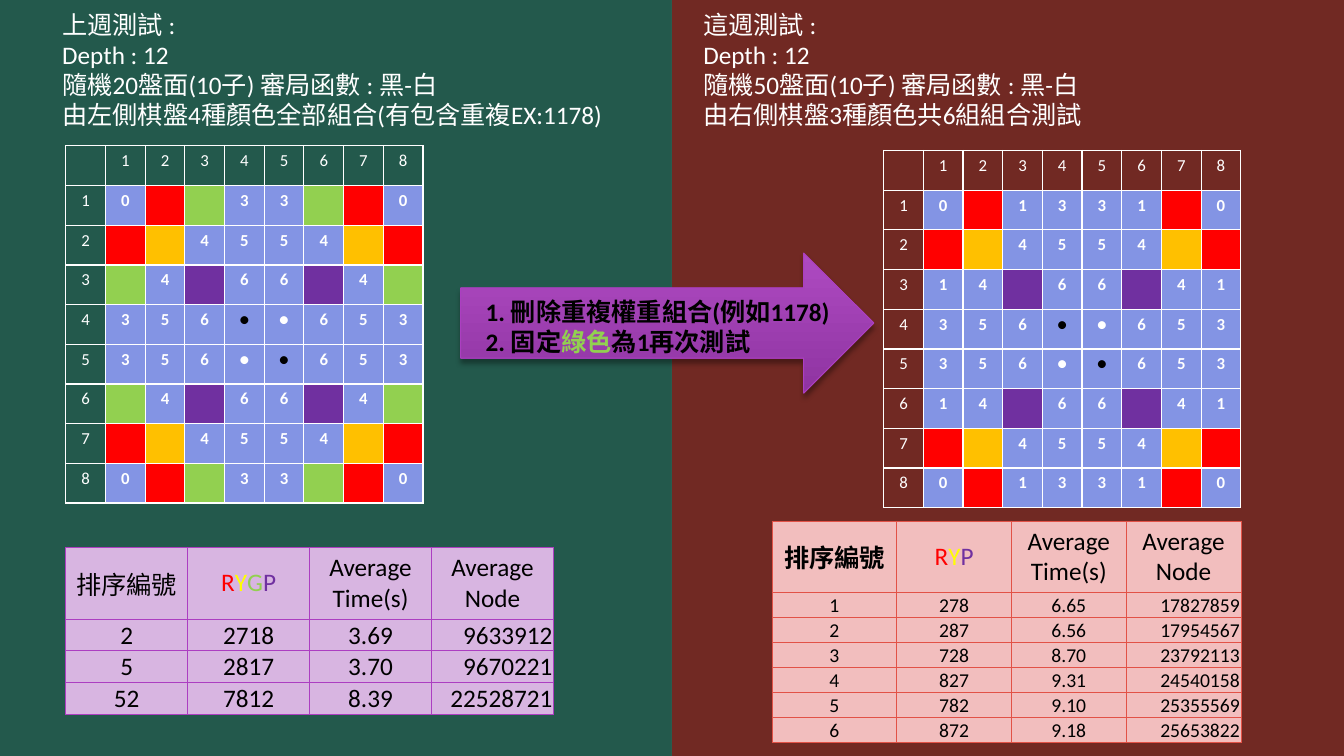
from lxml.etree import SubElement
from pptx import Presentation
from pptx.dml.color import RGBColor
from pptx.enum.shapes import MSO_SHAPE
from pptx.enum.text import MSO_ANCHOR, PP_ALIGN
from pptx.oxml.ns import qn
from pptx.util import Pt

HUES = {
    "black": "000000", "white": "FFFFFF", "teal": "46B298", "brick": "E25247",
    "cell": "8394E4", "R": "FF0000", "Y": "FFC000", "G": "92D050", "P": "7030A0",
    "yellow": "FFFF00", "lilac": "D8B5E1", "pink": "F2BEBE", "edge": "AC3EC1",
    "top": "AE4AC2", "base": "8F34A1",
}
HALF = ["0RG33GR0", "RY4554YR", "G4P66P4G", "356bw653"]
BOARD = HALF + ["356wb653"] + HALF[2::-1]
DISCS = {"b": "black", "w": "white"}
KEYS = {"R": "R", "Y": "yellow", "G": "G", "P": "P"}
LAST = {
    "head": ["排序編號", "RYGP", "Average\nTime(s)", "Average\nNode"],
    "rows": [("2", "2718", "3.69", "9633912"),
             ("5", "2817", "3.70", "9670221"),
             ("52", "7812", "8.39", "22528721")],
}
THIS = {
    "head": ["排序編號", "RYP", "Average\nTime(s)", "Average\nNode"],
    "rows": [("1", "278", "6.65", "17827859"),
             ("2", "287", "6.56", "17954567"),
             ("3", "728", "8.70", "23792113"),
             ("4", "827", "9.31", "24540158"),
             ("5", "782", "9.10", "25355569"),
             ("6", "872", "9.18", "25653822")],
}


def rgb(name):
    """Return the named colour."""
    return RGBColor.from_string(HUES[name])


def style(frame, size, hue, bold=False, align=PP_ALIGN.LEFT):
    """Format every run in a text frame."""
    for para in frame.paragraphs:
        para.alignment = align
        for run in para.runs:
            font = run.font
            font.name, font.size, font.bold = "Calibri", Pt(size), bold
            font.color.rgb = rgb(hue)


def split(para, parts):
    """Fill a paragraph with one run for each part."""
    for part in parts:
        para.add_run().text = part


def panel(slide, left, top, width, height, hue):
    """Draw a half-transparent background panel."""
    shape = slide.shapes.add_shape(
        MSO_SHAPE.RECTANGLE, Pt(left), Pt(top), Pt(width), Pt(height))
    shape.shadow.inherit = False
    shape.fill.solid()
    shape.fill.fore_color.rgb = rgb(hue)
    shape.line.fill.background()
    tone = shape.fill._xPr.find(qn("a:solidFill"))[0]
    SubElement(tone, qn("a:alpha"), val="50000")


def intro(slide, left, top, width, height, text):
    """Write the notes above a board."""
    frame = slide.shapes.add_textbox(
        Pt(left), Pt(top), Pt(width), Pt(height)).text_frame
    frame.word_wrap = True
    frame.text = text
    style(frame, 18, "white")


def grid(slide, left, top, widths, heights):
    """Add a plain table with the given columns and rows."""
    table = slide.shapes.add_table(
        len(heights), len(widths), Pt(left), Pt(top),
        Pt(sum(widths)), Pt(sum(heights))).table
    table.first_row = table.horz_banding = False
    for col, width in zip(table.columns, widths):
        col.width = Pt(width)
    for row, height in zip(table.rows, heights):
        row.height = Pt(height)
    return table


def edge(cell, hue, width):
    """Draw all four borders of a cell."""
    props = cell._tc.get_or_add_tcPr()
    for side in ("lnL", "lnR", "lnT", "lnB"):
        line = SubElement(props, qn("a:" + side), w=str(Pt(width)))
        fill = SubElement(line, qn("a:solidFill"))
        SubElement(fill, qn("a:srgbClr"), val=HUES[hue])


def board(slide, left, top, size, rows):
    """Draw a weight board with its row and column numbers."""
    step = size / 9
    table = grid(slide, left, top, [step] * 9, [step] * 9)
    marks = [" 12345678"] + [f"{num}{row}" for num, row in enumerate(rows, 1)]
    for y, line in enumerate(marks):
        for x, mark in enumerate(line):
            cell = table.cell(y, x)
            edge(cell, "white", 1)
            inner = x > 0 and y > 0
            if inner:
                cell.fill.solid()
                cell.fill.fore_color.rgb = rgb(mark if mark in KEYS else "cell")
            else:
                cell.fill.background()
            if mark == " " or mark in KEYS:
                cell.margin_top = cell.margin_bottom = 0
                continue
            cell.text_frame.text = "●" if mark in DISCS else mark
            style(cell.text_frame, 12, DISCS.get(mark, "white"), inner, PP_ALIGN.CENTER)


def scores(slide, left, top, widths, data, step, size, fill, line, bold):
    """Draw a table of average times and nodes."""
    rows = [data["head"]] + data["rows"]
    table = grid(slide, left, top, widths, [51] + [step] * len(data["rows"]))
    for y, row in enumerate(rows):
        for x, text in enumerate(row):
            cell = table.cell(y, x)
            edge(cell, line, 0.75)
            cell.fill.solid()
            cell.fill.fore_color.rgb = rgb(fill)
            cell.vertical_anchor = MSO_ANCHOR.MIDDLE
            frame = cell.text_frame
            keys = y == 0 and x == 1
            if keys:
                split(frame.paragraphs[0], text)
            else:
                frame.text = text
            if y:
                cell.margin_left = cell.margin_right = cell.margin_top = Pt(0.75)
                cell.margin_bottom = 0
            align = PP_ALIGN.RIGHT if y and x == 3 else PP_ALIGN.CENTER
            style(frame, size if y else 18, "black", bold and x == y == 0, align)
            if keys:
                for run in frame.paragraphs[0].runs:
                    run.font.color.rgb = rgb(KEYS[run.text])


def arrow(slide, left, top, width, height):
    """Draw the arrow between the boards and its two steps."""
    shape = slide.shapes.add_shape(
        MSO_SHAPE.RIGHT_ARROW, Pt(left), Pt(top), Pt(width), Pt(height))
    shape.shadow.inherit = False
    shape.fill.gradient()
    shape.fill.gradient_angle = 270
    for stop, hue, place in zip(shape.fill.gradient_stops, ("top", "base"), (0, 1)):
        stop.color.rgb = rgb(hue)
        stop.position = place
    shape.line.color.rgb = rgb("edge")
    shape.line.width = Pt(0.75)
    effects = shape._element.spPr.find(qn("a:effectLst"))
    shade = SubElement(effects, qn("a:outerShdw"), blurRad=str(Pt(4)),
                       dist=str(Pt(3)), dir="5400000", rotWithShape="0")
    tone = SubElement(shade, qn("a:srgbClr"), val=HUES["black"])
    SubElement(tone, qn("a:alpha"), val="35000")

    frame = slide.shapes.add_textbox(
        Pt(left + 10.8), Pt(top + 27.4), Pt(width - 1.4), Pt(72.7)).text_frame
    frame.word_wrap = True
    frame.text = "1. 刪除重複權重組合(例如1178)"
    para = frame.add_paragraph()
    split(para, ["2. 固定", "綠色", "為1再次測試"])
    style(frame, 18, "black", True)
    para.runs[1].font.color.rgb = rgb("G")


def main():
    """Build the slide comparing the two weeks of tests."""
    deck = Presentation()
    deck.slide_width, deck.slide_height = Pt(960), Pt(540)
    slide = deck.slides.add_slide(deck.slide_layouts[6])
    slide.background.fill.solid()
    slide.background.fill.fore_color.rgb = rgb("black")
    panel(slide, 480, 0, 480, 540, "brick")
    panel(slide, 0, 0, 480, 540, "teal")
    scores(slide, 551.5, 372.2, [89, 82, 82, 82], THIS, 17.7, 14,
           "pink", "brick", True)
    board(slide, 631.2, 107.5, 255.15, [row.replace("G", "1") for row in BOARD])
    scores(slide, 47, 391, [87.1] * 4, LAST, 22.3, 18, "lilac", "edge", False)
    board(slide, 47, 104.2, 255.15, BOARD)
    intro(slide, 37.4, 2.9, 427.7, 94.3,
          "上週測試 :\nDepth : 12\n隨機20盤面(10子) 審局函數 : 黑-白\n"
          "由左側棋盤4種顏色全部組合(有包含重複EX:1178)")
    intro(slide, 495.3, 2.9, 427.7, 94.3,
          "這週測試 :\nDepth : 12\n隨機50盤面(10子) 審局函數 : 黑-白\n"
          "由右側棋盤3種顏色共6組組合測試")
    arrow(slide, 329, 180.7, 295.2, 100.1)
    deck.save("out.pptx")


if __name__ == "__main__":
    main()
